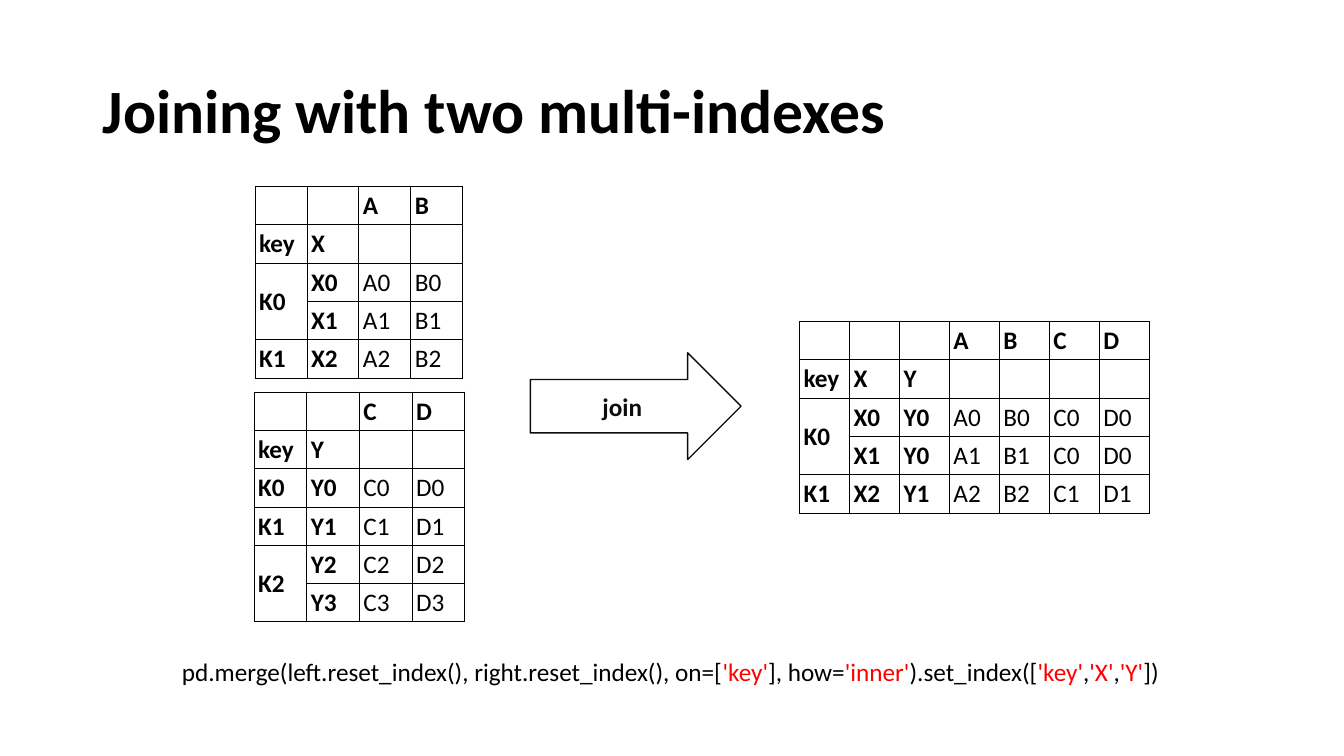
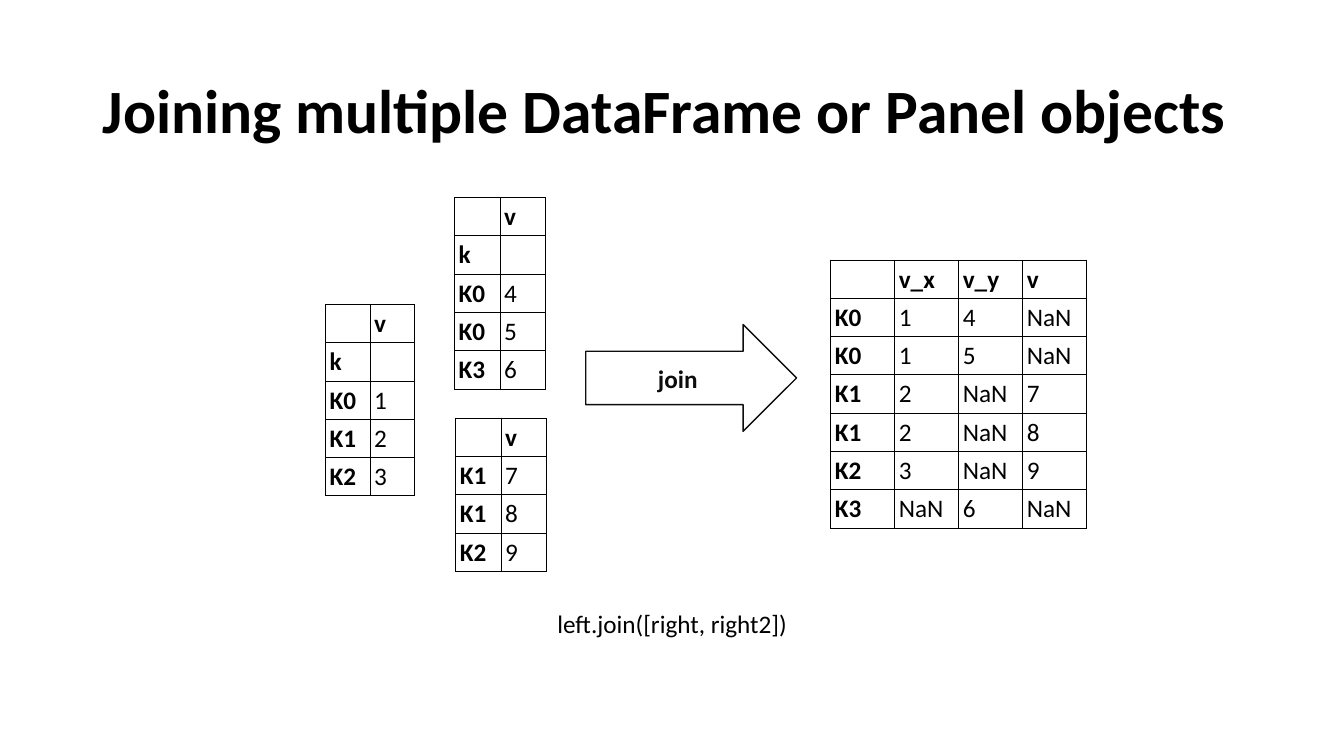
"""Build two slides that show how indexed tables are joined."""
from dataclasses import dataclass

import lxml.etree
import pptx
import pptx.dml.color
import pptx.enum.shapes
import pptx.enum.text
import pptx.oxml.ns
import pptx.slide
import pptx.text.text
import pptx.util

Inches = pptx.util.Inches
MIDDLE = pptx.enum.text.MSO_ANCHOR.MIDDLE
COLORS = {"text": "000000", "arrow": "0D0D0D", "quoted": "FF0000", "paper": "FFFFFF"}
FONT = "Calibri"
BODY_SIZE = 18
TITLE_SIZE = 44
ROW_HEIGHT = 0.38
CELL_MARGIN = 0.04
BORDER_WIDTH = 0.75
MERGE_UP = "^"


@dataclass(frozen=True)
class Frame:
    """A bordered table whose first columns form its index."""
    left: float
    top: float
    width: float
    index_columns: int
    rows: tuple[str, ...]


@dataclass(frozen=True)
class Code:
    """A line of code with its quoted words highlighted."""
    left: float
    top: float
    width: float
    text: str


@dataclass(frozen=True)
class JoinSlide:
    """Everything that differs from one join slide to the next."""
    title: str
    arrow_left: float
    arrow_top: float
    code: Code
    frames: tuple[Frame, ...]


JOINS = (
    JoinSlide(
        "Joining with two multi-indexes", 5.26, 3.5,
        Code(1.65, 6.46, 10.26,
             " pd.merge(left.reset_index(), right.reset_index(), on=['key'], "
             "how='inner').set_index(['key','X','Y'])"),
        (
            Frame(2.53, 1.85, 2.06, 2, (
                "||A|B", "key|X||", "K0|X0|A0|B0", "^|X1|A1|B1", "K1|X2|A2|B2")),
            Frame(2.52, 3.89, 2.09, 2, (
                "||C|D", "key|Y||", "K0|Y0|C0|D0", "K1|Y1|C1|D1",
                "K2|Y2|C2|D2", "^|Y3|C3|D3")),
            Frame(7.93, 3.19, 3.47, 3, (
                "|||A|B|C|D", "key|X|Y||||", "K0|X0|Y0|A0|B0|C0|D0",
                "^|X1|Y0|A1|B1|C0|D0", "K1|X2|Y1|A2|B2|C1|D1")),
        ),
    ),
    JoinSlide(
        "Joining multiple DataFrame or Panel objects", 5.81, 3.22,
        Code(5.43, 5.99, 2.51, "left.join([right, right2])"),
        (
            Frame(3.23, 3.02, 0.88, 1, ("|v", "k|", "K0|1", "K1|2", "K2|3")),
            Frame(4.51, 1.96, 0.9, 1, ("|v", "k|", "K0|4", "K0|5", "K3|6")),
            Frame(4.52, 4.15, 0.9, 1, ("|v", "K1|7", "K1|8", "K2|9")),
            Frame(8.24, 2.58, 2.54, 1, (
                "|v_x|v_y|v", "K0|1|4|NaN", "K0|1|5|NaN", "K1|2|NaN|7",
                "K1|2|NaN|8", "K2|3|NaN|9", "K3|NaN|6|NaN")),
        ),
    ),
)


def rgb(name: str) -> pptx.dml.color.RGBColor:
    """Look up a named colour."""
    return pptx.dml.color.RGBColor.from_string(COLORS[name])


def set_font(font: pptx.text.text.Font, color: str = "text",
             size: int = BODY_SIZE, bold: bool = False) -> None:
    """Apply the shared typeface."""
    font.name = FONT
    font.size = pptx.util.Pt(size)
    font.bold = bold
    font.color.rgb = rgb(color)


def add_title(slide: pptx.slide.Slide, text: str) -> None:
    """Add the slide heading."""
    title = slide.shapes.add_textbox(Inches(0.92), Inches(0.4), Inches(11.5), Inches(1.45))
    title.text_frame.word_wrap = True
    title.text_frame.vertical_anchor = MIDDLE
    heading = title.text_frame.paragraphs[0]
    heading.text = text
    heading.line_spacing = 0.9
    set_font(heading.font, size=TITLE_SIZE, bold=True)


def add_join_arrow(slide: pptx.slide.Slide, left: float, top: float) -> None:
    """Add the arrow that leads to the joined table."""
    arrow = slide.shapes.add_shape(pptx.enum.shapes.MSO_SHAPE.RIGHT_ARROW,
                                   Inches(left), Inches(top), Inches(2.09), Inches(1.06))
    arrow.shadow.inherit = False
    arrow.fill.solid()
    arrow.fill.fore_color.rgb = rgb("paper")
    arrow.line.color.rgb = rgb("arrow")
    arrow.line.width = pptx.util.Pt(1)
    arrow.text_frame.vertical_anchor = MIDDLE
    label = arrow.text_frame.paragraphs[0]
    label.text = "join"
    label.alignment = pptx.enum.text.PP_ALIGN.CENTER
    set_font(label.font, "arrow", bold=True)


def add_code(slide: pptx.slide.Slide, code: Code) -> None:
    """Add the code line, colouring each quoted word."""
    box = slide.shapes.add_textbox(Inches(code.left), Inches(code.top),
                                   Inches(code.width), Inches(0.4))
    box.text_frame.word_wrap = True
    line = box.text_frame.paragraphs[0]
    for position, piece in enumerate(code.text.split("'")):
        quoted = position % 2 == 1
        run = line.add_run()
        run.text = f"'{piece}'" if quoted else piece
        set_font(run.font, "quoted" if quoted else "text")


def add_borders(cell: pptx.table._Cell) -> None:
    """Draw a thin line on all four sides of a cell."""
    qn = pptx.oxml.ns.qn
    properties = cell._tc.get_or_add_tcPr()
    for side in ("lnL", "lnR", "lnT", "lnB"):
        border = lxml.etree.SubElement(properties, qn(f"a:{side}"),
                                       w=str(pptx.util.Pt(BORDER_WIDTH)))
        fill = lxml.etree.SubElement(border, qn("a:solidFill"))
        lxml.etree.SubElement(fill, qn("a:srgbClr"), val=COLORS["text"])


def add_frame(slide: pptx.slide.Slide, frame: Frame) -> None:
    """Add a table with bold header and index cells."""
    grid = [row.split("|") for row in frame.rows]
    column_count = len(grid[0])
    table = slide.shapes.add_table(
        len(grid), column_count, Inches(frame.left), Inches(frame.top),
        Inches(frame.width), Inches(ROW_HEIGHT * len(grid))).table
    table.first_row = False
    table.horz_banding = False
    for column in table.columns:
        column.width = Inches(frame.width / column_count)
    for r, values in enumerate(grid):
        table.rows[r].height = Inches(ROW_HEIGHT)
        for c, value in enumerate(values):
            cell = table.cell(r, c)
            add_borders(cell)
            cell.fill.solid()
            cell.fill.fore_color.rgb = rgb("paper")
            cell.margin_left = cell.margin_right = Inches(CELL_MARGIN)
            cell.margin_top = cell.margin_bottom = Inches(CELL_MARGIN)
            cell.vertical_anchor = MIDDLE
            if value == MERGE_UP:
                table.cell(r - 1, c).merge(cell)
                continue
            entry = cell.text_frame.paragraphs[0]
            entry.text = value
            set_font(entry.font, bold=r == 0 or c < frame.index_columns)


def main() -> None:
    """Build and save the presentation."""
    deck = pptx.Presentation()
    deck.slide_width = Inches(13.33)
    deck.slide_height = Inches(7.5)
    for join in JOINS:
        slide = deck.slides.add_slide(deck.slide_layouts[6])
        add_title(slide, join.title)
        add_join_arrow(slide, join.arrow_left, join.arrow_top)
        add_code(slide, join.code)
        for frame in join.frames:
            add_frame(slide, frame)
    deck.save("out.pptx")


main()
